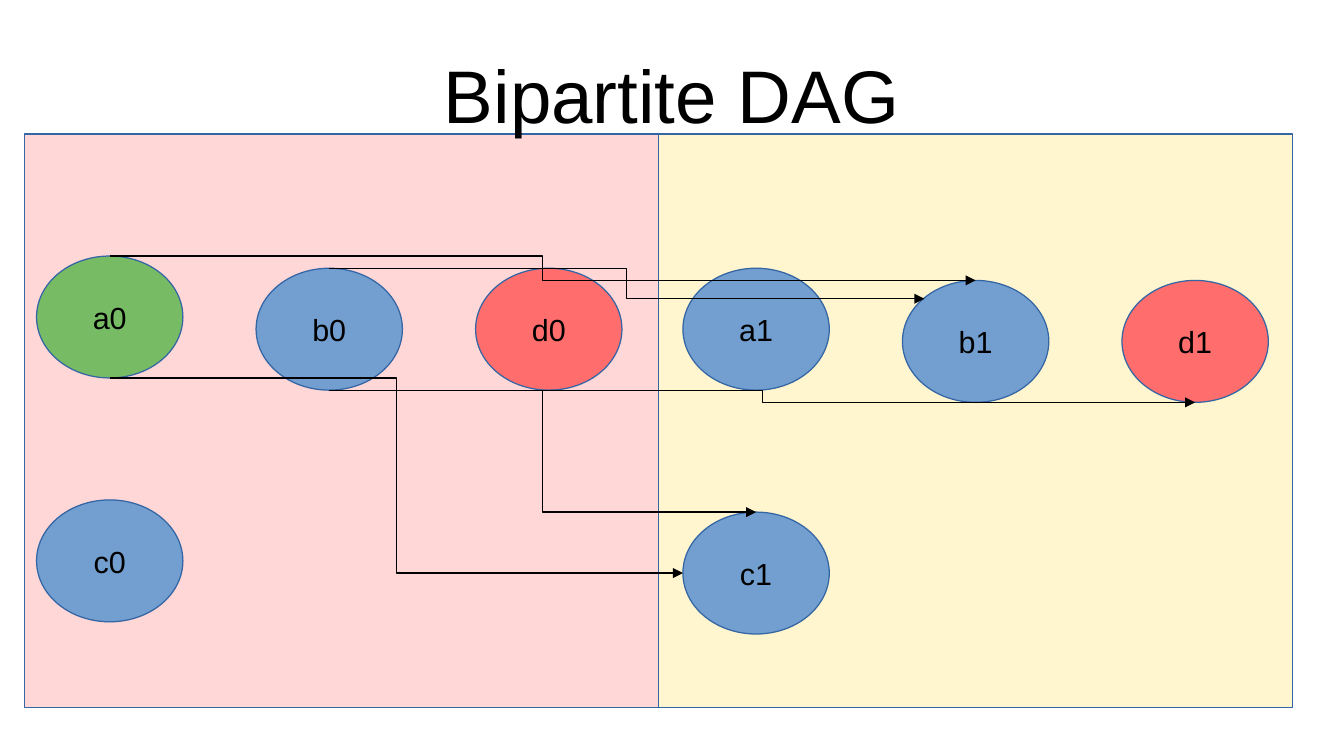
"""Build the Bipartite DAG slide."""
from lxml import etree
from pptx import Presentation
from pptx.dml.color import RGBColor
from pptx.enum.shapes import MSO_CONNECTOR, MSO_SHAPE
from pptx.enum.text import MSO_ANCHOR, PP_ALIGN
from pptx.oxml.ns import qn
from pptx.util import Inches, Pt

ELBOW = MSO_CONNECTOR.ELBOW
RECTANGLE, OVAL = MSO_SHAPE.RECTANGLE, MSO_SHAPE.OVAL
MIDDLE, CENTER = MSO_ANCHOR.MIDDLE, PP_ALIGN.CENTER

BLACK, OUTLINE = "000000", "3465A4"
PINK, CREAM = "FFD7D7", "FFF5CE"
GREEN, BLUE, RED = "77BC65", "729FCF", "FF6D6D"

PANEL_LEFT, PANEL_TOP, PANEL_WIDTH, PANEL_HEIGHT = 0.2, 1.1, 5.2, 4.7
NODE_WIDTH, NODE_HEIGHT = 1.2, 1
COLUMN_STEP, ROW_STEP = 1.8, 2
SOURCE_ORIGIN, TARGET_ORIGIN = (0.3, 2.1), (5.6, 2.2)
FIRST_ROW_DROP = 0.1

ANCHORS = {"top": (0.5, 0), "bottom": (0.5, 1), "left": (0, 0.5), "upper left": (0.15, 0.15)}

NODES = [
    ("a0", SOURCE_ORIGIN, 0, 0, GREEN),
    ("b0", SOURCE_ORIGIN, 1, 0, BLUE),
    ("c0", SOURCE_ORIGIN, 0, 1, BLUE),
    ("d0", SOURCE_ORIGIN, 2, 0, RED),
    ("a1", TARGET_ORIGIN, 0, 0, BLUE),
    ("b1", TARGET_ORIGIN, 1, 0, BLUE),
    ("c1", TARGET_ORIGIN, 0, 1, BLUE),
    ("d1", TARGET_ORIGIN, 2, 0, RED),
]

EDGES = [
    ("a0", "top", "b1", "top"),
    ("a0", "bottom", "c1", "left"),
    ("b0", "bottom", "c1", "top"),
    ("b0", "top", "b1", "upper left"),
    ("b0", "bottom", "d1", "bottom"),
]


def color(hex_code):
    """Turn a hex string into a colour."""
    return RGBColor.from_string(hex_code)


def write(frame, text, size):
    """Put one centred line of black Arial into a text frame."""
    frame.text = text
    frame.vertical_anchor = MIDDLE
    paragraph = frame.paragraphs[0]
    paragraph.alignment = CENTER
    font = paragraph.runs[0].font
    font.name, font.size = "Arial", Pt(size)
    font.color.rgb = color(BLACK)


def add_outlined(slide, kind, box, fill):
    """Add a filled shape with the thin blue outline."""
    outlined = slide.shapes.add_shape(kind, *map(Inches, box))
    outlined.shadow.inherit = False
    outlined.fill.solid()
    outlined.fill.fore_color.rgb = color(fill)
    outlined.line.color.rgb = color(OUTLINE)
    outlined.line.width = Pt(0.75)
    return outlined


def add_panel(slide, column, fill):
    """Add the background of one half of the graph."""
    left = PANEL_LEFT + column * PANEL_WIDTH
    return add_outlined(slide, RECTANGLE, (left, PANEL_TOP, PANEL_WIDTH, PANEL_HEIGHT), fill)


def place_title(slide, text, front_panel):
    """Format the title and bring it in front of the panels."""
    title = slide.shapes.title
    title.left, title.top, title.width, title.height = map(Inches, (0.55, 0.25, 9.92, 1.03))
    frame = title.text_frame
    frame.margin_left = frame.margin_right = frame.margin_top = frame.margin_bottom = 0
    write(frame, text, 44)
    front_panel.element.addnext(title.element)


def add_node(slide, label, origin, column, row, fill):
    """Add a labelled node and return its top left corner."""
    left = origin[0] + column * COLUMN_STEP
    top = origin[1] + row * ROW_STEP + (FIRST_ROW_DROP if column else 0)
    node = add_outlined(slide, OVAL, (left, top, NODE_WIDTH, NODE_HEIGHT), fill)
    write(node.text_frame, label, 18)
    node.text_frame.word_wrap = False
    return left, top


def anchor_point(corner, side):
    """Find the point on a node's outline where an edge meets it."""
    across, down = ANCHORS[side]
    return Inches(corner[0] + across * NODE_WIDTH), Inches(corner[1] + down * NODE_HEIGHT)


def add_edge(slide, start, end):
    """Add a bent arrow between two points."""
    edge = slide.shapes.add_connector(ELBOW, *start, *end)
    edge.line.color.rgb = color(BLACK)
    edge.line.width = Pt(0.75)
    properties = edge.element.spPr
    etree.SubElement(properties.find(qn("a:ln")), qn("a:tailEnd"), type="triangle")
    etree.SubElement(properties, qn("a:effectLst"))


def main():
    """Build and save the slide."""
    deck = Presentation()
    deck.slide_width, deck.slide_height = Inches(11.02), Inches(6.2)
    slide = deck.slides.add_slide(deck.slide_layouts[5])

    add_panel(slide, 1, CREAM)
    source_panel = add_panel(slide, 0, PINK)
    place_title(slide, "Bipartite DAG", source_panel)

    corners = {node[0]: add_node(slide, *node) for node in NODES}
    for source, exit_side, target, entry_side in EDGES:
        add_edge(slide, anchor_point(corners[source], exit_side),
                 anchor_point(corners[target], entry_side))

    deck.save("out.pptx")


main()
